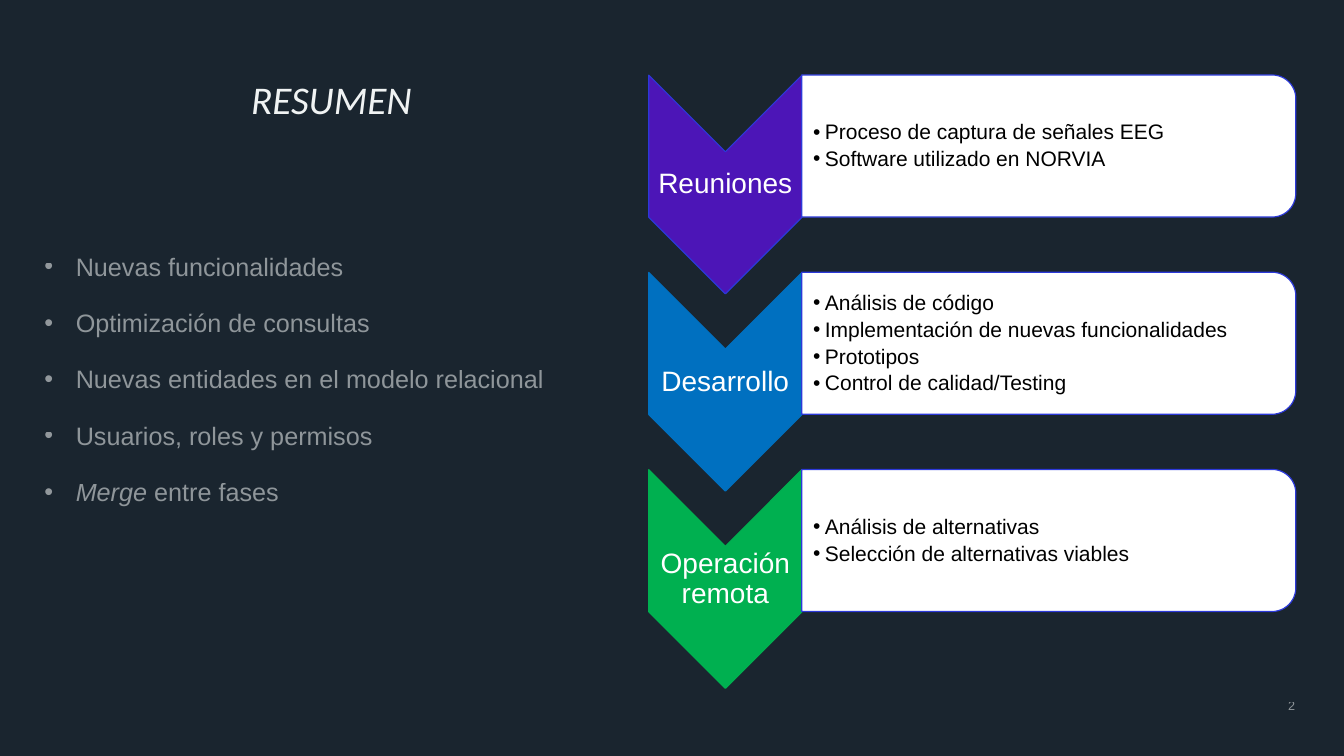
from lxml import etree
from pptx import Presentation
from pptx import util as u
from pptx.dml.color import RGBColor
from pptx.enum import shapes, text
from pptx.oxml import ns

NIGHT = RGBColor(0x1A, 0x25, 0x2F)
MIST = RGBColor(0xF0, 0xF3, 0xF3)
WHITE = RGBColor(0xFF, 0xFF, 0xFF)
BLACK = RGBColor(0, 0, 0)
INDIGO = RGBColor(0x2C, 0x39, 0xD9)
PURPLE = RGBColor(0x4C, 0x15, 0xB7)
BLUE = RGBColor(0x00, 0x70, 0xC0)
GREEN = RGBColor(0x00, 0xB0, 0x50)

STAGE_PITCH = 4.97
STAGES = [
    ("Reuniones", PURPLE, INDIGO,
     ["Proceso de captura de señales EEG", "Software utilizado en NORVIA"]),
    ("Desarrollo", BLUE, BLUE,
     ["Análisis de código", "Implementación de nuevas funcionalidades",
      "Prototipos", "Control de calidad/Testing"]),
    ("Operación remota", GREEN, GREEN,
     ["Análisis de alternativas", "Selección de alternativas viables"]),
]
# Each topic is an italic lead and the upright remainder.
TOPICS = [
    ("", "Nuevas funcionalidades"),
    ("", "Optimización de consultas"),
    ("", "Nuevas entidades en el modelo relacional"),
    ("", "Usuarios, roles y permisos"),
    ("Merge", " entre fases"),
]


class SummarySlide:
    """Holds the deck style and the slide being built; lengths are in cm."""

    font = "Arial"

    def __init__(self, deck):
        self.slide = deck.slides.add_slide(deck.slide_layouts[1])
        fill = self.slide.background.fill
        fill.solid()
        fill.fore_color.rgb = NIGHT

    def frame(self, holder, insets=(0, 0, 0, 0), anchor=text.MSO_ANCHOR.MIDDLE):
        frame = holder.text_frame
        frame.word_wrap = True
        frame.auto_size = text.MSO_AUTO_SIZE.NONE
        frame.vertical_anchor = anchor
        (frame.margin_left, frame.margin_top,
         frame.margin_right, frame.margin_bottom) = map(u.Cm, insets)
        return frame

    def style(self, paragraph, size, color, align, spacing=1.0, name=None, alpha=None):
        paragraph.alignment = align
        paragraph.line_spacing = spacing
        font = paragraph.font
        font.name = name or self.font
        font.size = u.Pt(size)
        font.color.rgb = color
        if alpha:
            swatch = paragraph._p.pPr.find(".//" + ns.qn("a:srgbClr"))
            etree.SubElement(swatch, ns.qn("a:alpha"), val=str(alpha * 1000))

    def bullet(self, paragraph, indent):
        props = paragraph._p.get_or_add_pPr()
        props.set("marL", str(u.Cm(indent)))
        props.set("indent", str(-u.Cm(indent)))
        etree.SubElement(props, ns.qn("a:buFont"), typeface=self.font)
        etree.SubElement(props, ns.qn("a:buChar"), char="•")

    def paragraphs(self, frame, count):
        return [frame.paragraphs[0]] + [frame.add_paragraph() for _ in range(count - 1)]

    def place(self, holder, left, top, width, height):
        holder.left, holder.top = u.Cm(left), u.Cm(top)
        holder.width, holder.height = u.Cm(width), u.Cm(height)

    def title(self, wording):
        title = self.slide.shapes.title
        self.place(title, 1.24, 1.09, 14.22, 2.97)
        heading = self.frame(title).paragraphs[0]
        heading.text = wording
        self.style(heading, 28, MIST, text.PP_ALIGN.CENTER, 0.9, "Calibri")
        heading.font.italic = True

    def topics(self, topics):
        body = self.slide.placeholders[1]
        self.place(body, 1.12, 6.02, 14.22, 12.47)
        frame = self.frame(body, (0, 0, 0.25, 0), text.MSO_ANCHOR.TOP)
        for i, (paragraph, (lead, rest)) in enumerate(
                zip(self.paragraphs(frame, len(topics)), topics)):
            self.bullet(paragraph, 0.79)
            self.style(paragraph, 18, MIST, text.PP_ALIGN.JUSTIFY, 1.4, alpha=55)
            paragraph.space_before = u.Pt(10 if i else 0)
            if lead:
                run = paragraph.add_run()
                run.text = lead
                run.font.italic = True
            paragraph.add_run().text = rest

    def turned(self, kind, center_x, center_y, width, height, fill, line):
        """Adds a preset shape turned a quarter clockwise about its centre."""
        shape = self.slide.shapes.add_shape(
            kind, u.Cm(center_x - width / 2), u.Cm(center_y - height / 2),
            u.Cm(width), u.Cm(height))
        shape.rotation = 90
        shape.shadow.inherit = False
        shape.fill.solid()
        shape.fill.fore_color.rgb = fill
        shape.line.color.rgb = line
        shape.line.width = u.Pt(0.85)

    def textbox(self, left, top, width, height, insets=(0, 0, 0, 0)):
        return self.frame(self.slide.shapes.add_textbox(
            u.Cm(left), u.Cm(top), u.Cm(width), u.Cm(height)), insets)

    def stage(self, offset, name, fill, line, tasks):
        self.turned(shapes.MSO_SHAPE.CHEVRON, 18.28, 4.65 + offset,
                    5.51, 3.86, fill, line)
        label = self.textbox(16.35, 3.83 + offset, 3.86, 1.65, (0.03,) * 4).paragraphs[0]
        label.text = name
        self.style(label, 20, WHITE, text.PP_ALIGN.CENTER, 0.9)

        self.turned(shapes.MSO_SHAPE.ROUND_2_SAME_RECTANGLE, 26.43, 3.68 + offset,
                    3.58, 12.45, WHITE, INDIGO)
        frame = self.textbox(20.19, 2.08 + offset, 12.27, 3.23, (0.3, 0.03, 0.03, 0.03))
        for paragraph, task in zip(self.paragraphs(frame, len(tasks)), tasks):
            paragraph.text = task
            self.bullet(paragraph, 0.3)
            self.style(paragraph, 15, BLACK, text.PP_ALIGN.LEFT, 0.9)
            paragraph.space_after = u.Pt(3)

    def page_number(self, number):
        paragraph = self.textbox(28.45, 17.09, 4.19, 1.4).paragraphs[0]
        self.style(paragraph, 9, MIST, text.PP_ALIGN.RIGHT, alpha=55)
        field = etree.SubElement(
            paragraph._p, ns.qn("a:fld"), type="slidenum",
            id="{B6F15528-21DE-4FAA-801E-634DDDAF4B2B}")
        etree.SubElement(field, ns.qn("a:rPr"), lang="es")
        etree.SubElement(field, ns.qn("a:t")).text = str(number)


def main():
    deck = Presentation()
    deck.slide_width, deck.slide_height = u.Cm(33.87), u.Cm(19.05)
    deck.element.set("firstSlideNum", "2")
    summary = SummarySlide(deck)
    summary.title("RESUMEN")
    for i, stage in enumerate(STAGES):
        summary.stage(i * STAGE_PITCH, *stage)
    summary.topics(TOPICS)
    summary.page_number(2)
    deck.save("out.pptx")


if __name__ == "__main__":
    main()
